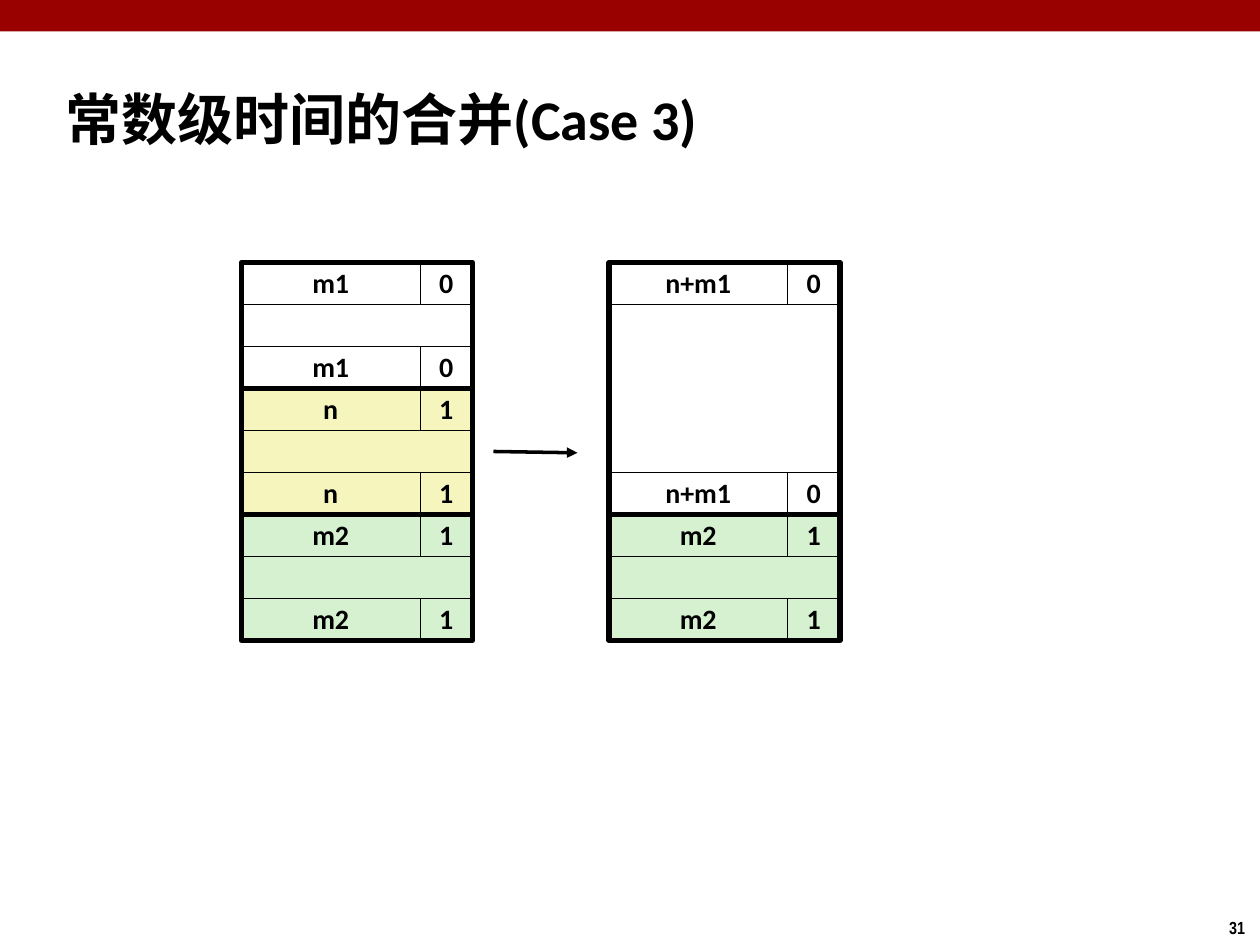
"""Build a slide on constant-time coalescing of memory blocks, case 3."""
import dataclasses
import typing

import lxml.etree
import pptx
import pptx.dml.color
import pptx.enum.shapes
import pptx.enum.text
import pptx.oxml.ns
import pptx.util

PX = 9525
ROW = 32
SIZE_WIDTH = 136
FLAG_WIDTH = 40
BLOCK_WIDTH = SIZE_WIDTH + FLAG_WIDTH
HEAP_TOP = 200
BEFORE_LEFT = 184
AFTER_LEFT = 464


@dataclasses.dataclass(frozen=True)
class Theme:
    ink: str = "000000"
    bar: str = "990000"
    free: str = "FFFFFF"
    freed: str = "F6F5BD"
    used: str = "D5F1CF"
    font: str = "Calibri"
    number_font: str = "Arial Narrow"
    title_size: int = 32
    cell_size: int = 16
    number_size: int = 10
    thin: float = 0.25
    thick: float = 3
    arrow: float = 2


THEME = Theme()


@dataclasses.dataclass(frozen=True)
class Area:
    left: int
    top: int
    width: int
    height: int

    def emu(self) -> list[int]:
        return [value * PX for value in dataclasses.astuple(self)]


@dataclasses.dataclass(frozen=True)
class Block:
    size: str
    flag: str
    fill: str
    rows: int = 3


BEFORE = [
    Block("m1", "0", THEME.free),
    Block("n", "1", THEME.freed),
    Block("m2", "1", THEME.used),
]
AFTER = [
    Block("n+m1", "0", THEME.free, rows=6),
    Block("m2", "1", THEME.used),
]


def color(value: str) -> pptx.dml.color.RGBColor:
    return pptx.dml.color.RGBColor.from_string(value)


def apply(target: typing.Any, values: dict[str, typing.Any]) -> None:
    for name, value in values.items():
        setattr(target, name, value)


def write(frame: typing.Any, text: str, size: int, font: str = THEME.font) -> typing.Any:
    para = frame.paragraphs[0]
    span = para.add_run()
    span.text = text
    apply(span.font, {"name": font, "size": pptx.util.Pt(size), "bold": True})
    span.font.color.rgb = color(THEME.ink)
    return para


def add_box(page: typing.Any, area: Area, fill: str | None, line: float = 0) -> typing.Any:
    box = page.shapes.add_shape(pptx.enum.shapes.MSO_SHAPE.RECTANGLE, *area.emu())
    box.shadow.inherit = False
    if fill:
        box.fill.solid()
        box.fill.fore_color.rgb = color(fill)
    else:
        box.fill.background()
    if line:
        box.line.color.rgb = color(THEME.ink)
        box.line.width = pptx.util.Pt(line)
    else:
        box.line.fill.background()
    return box


def add_cell(page: typing.Any, area: Area, text: str, fill: str) -> None:
    frame = add_box(page, area, fill, THEME.thin).text_frame
    apply(frame, {"word_wrap": False, "vertical_anchor": pptx.enum.text.MSO_ANCHOR.MIDDLE})
    para = write(frame, text, THEME.cell_size)
    apply(para, {"alignment": pptx.enum.text.PP_ALIGN.CENTER, "line_spacing": 0.98})


def add_block(page: typing.Any, left: int, top: int, block: Block) -> None:
    height = block.rows * ROW
    add_box(page, Area(left, top + ROW, BLOCK_WIDTH, height - 2 * ROW), block.fill, THEME.thin)
    for tag_top in (top, top + height - ROW):
        add_cell(page, Area(left, tag_top, SIZE_WIDTH, ROW), block.size, block.fill)
        add_cell(page, Area(left + SIZE_WIDTH, tag_top, FLAG_WIDTH, ROW), block.flag, block.fill)
    add_box(page, Area(left, top, BLOCK_WIDTH, height), None, THEME.thick)


def add_heap(page: typing.Any, left: int, blocks: list[Block]) -> None:
    top = HEAP_TOP
    for block in blocks:
        add_block(page, left, top, block)
        top += block.rows * ROW


def add_arrow(page: typing.Any, start: tuple[int, int], end: tuple[int, int]) -> None:
    arrow = page.shapes.add_connector(
        pptx.enum.shapes.MSO_CONNECTOR.STRAIGHT, *(value * PX for value in start + end)
    )
    arrow.line.color.rgb = color(THEME.ink)
    arrow.line.width = pptx.util.Pt(THEME.arrow)
    qn = pptx.oxml.ns.qn
    lxml.etree.SubElement(arrow.line._get_or_add_ln(), qn("a:tailEnd"), type="triangle")
    lxml.etree.SubElement(arrow._element.spPr, qn("a:effectLst"))


def add_title(page: typing.Any, area: Area, text: str) -> None:
    title = page.shapes.title
    apply(title, dict(zip(("left", "top", "width", "height"), area.emu())))
    apply(title.text_frame, {
        "vertical_anchor": pptx.enum.text.MSO_ANCHOR.MIDDLE,
        "auto_size": pptx.enum.text.MSO_AUTO_SIZE.NONE,
        "word_wrap": True,
    })
    para = write(title.text_frame, text, THEME.title_size)
    para.alignment = pptx.enum.text.PP_ALIGN.LEFT
    properties = para._p.get_or_add_pPr()
    properties.set("marL", str(12 * PX))
    properties.set("indent", str(-12 * PX))


def add_number(page: typing.Any, area: Area, text: str) -> None:
    frame = page.shapes.add_textbox(*area.emu()).text_frame
    apply(frame, {"word_wrap": False, "auto_size": pptx.enum.text.MSO_AUTO_SIZE.SHAPE_TO_FIT_TEXT})
    write(frame, text, THEME.number_size, THEME.number_font)


def main() -> None:
    deck = pptx.Presentation()
    apply(deck, {"slide_width": 960 * PX, "slide_height": 720 * PX})
    page = deck.slides.add_slide(deck.slide_layouts[5])
    add_box(page, Area(0, 0, 960, 24), THEME.bar)
    add_number(page, Area(927, 694, 33, 26), "31")
    add_title(page, Area(40, 60, 880, 60), "常数级时间的合并(Case 3)")
    add_heap(page, BEFORE_LEFT, BEFORE)
    add_heap(page, AFTER_LEFT, AFTER)
    add_arrow(page, (376, 344), (440, 345))
    deck.save("out.pptx")


if __name__ == "__main__":
    main()
